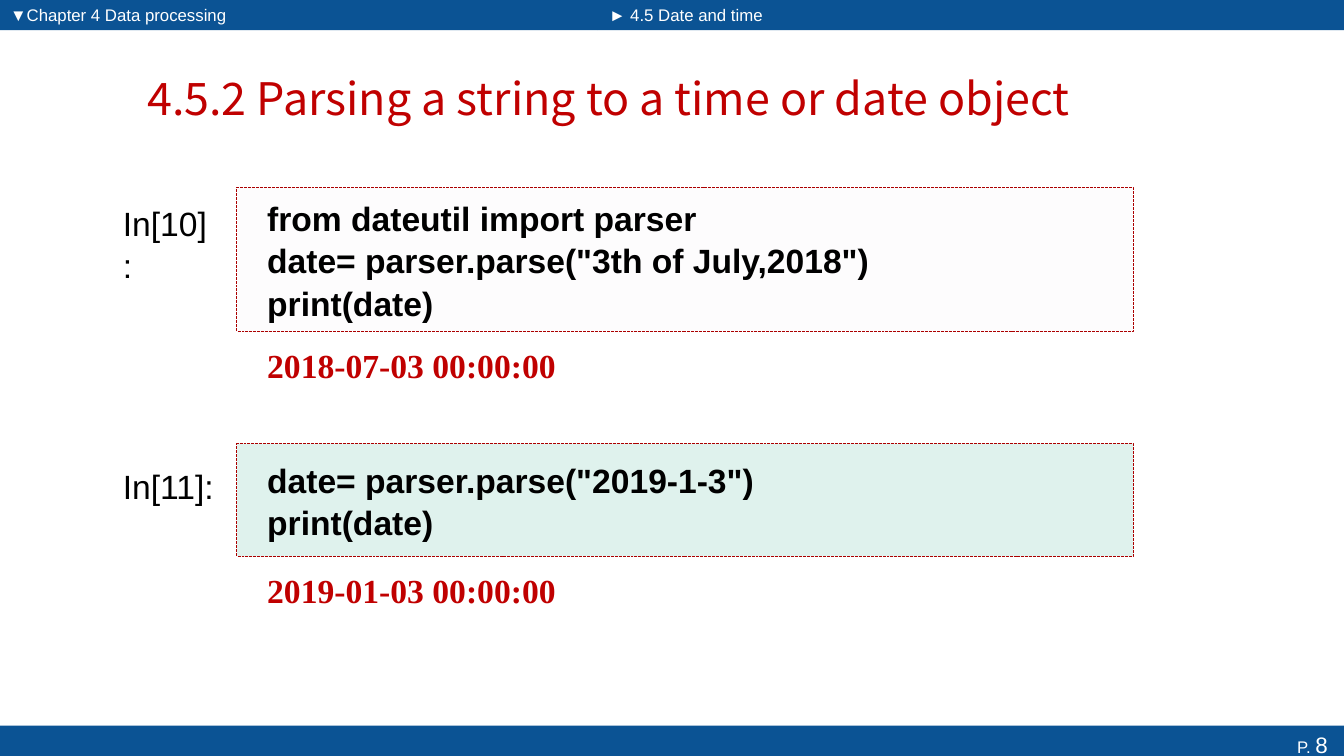
from lxml import etree
from pptx import Presentation
from pptx import util as u
from pptx.dml.color import RGBColor
from pptx.enum import dml, shapes, text
from pptx.oxml.ns import qn

COLORS = {"bar": "0B5394", "white": "FFFFFF", "black": "000000", "red": "C00000",
          "border": "AB0000", "pale": "F1EEF4", "teal": "0C9B74"}
TITLE = "4.5.2 Parsing a string to a time or date object"
HEADERS = [("▼Chapter 4 Data processing", 0, 4.83),
           ("► 4.5 Date and time", 5.94, 2.38)]
BARS = [(0, 0, 5.93, 0.3), (5.93, 0, 7.4, 0.3), (0, 7.2, 13.33, 0.37)]
PAGE_NUMBER = [("P. ", 12), ("8 ", 16)]
CELLS = [
    {"label": "In[10]:", "label_top": 1.94, "top": 1.86, "height": 1.43, "fill": "pale",
     "code": ["from dateutil import parser",
              'date= parser.parse("3th of July,2018")',
              "print(date)"],
     "output": "2018-07-03 00:00:00", "output_top": 3.29, "output_height": 0.65},
    {"label": "In[11]:", "label_top": 4.55, "top": 4.4, "height": 1.12, "fill": "teal",
     "code": ['date= parser.parse("2019-1-3")',
              "print(date)"],
     "output": "2019-01-03 00:00:00", "output_top": 5.42, "output_height": 0.85},
]
LABEL_LEFT, LABEL_WIDTH, LABEL_HEIGHT = 1.12, 1.12, 0.5
CODE_LEFT, CODE_WIDTH, OUTPUT_WIDTH = 2.35, 8.89, 8.74
CODE_SIZE, CODE_SPACING, CODE_INDENT = 24, 1.05, 0.3


def rgb(name):
    return RGBColor.from_string(COLORS[name])


def add_run(paragraph, words, size, color, font="Arial", bold=False):
    run = paragraph.add_run()
    run.text = words
    run.font.size = u.Pt(size)
    run.font.name = font
    run.font.bold = bold
    run.font.color.rgb = rgb(color)
    properties = run._r.get_or_add_rPr()
    etree.SubElement(properties, qn("a:ea")).set("typeface", font)


def add_rectangle(slide, box, fill):
    shape = slide.shapes.add_shape(shapes.MSO_SHAPE.RECTANGLE, *map(u.Inches, box))
    shape.shadow.inherit = False
    shape.fill.solid()
    shape.fill.fore_color.rgb = rgb(fill)
    shape.line.fill.background()
    return shape


def write_lines(shape, lines, color="black", font="Arial", bold=True, indent=CODE_INDENT,
                anchor=text.MSO_ANCHOR.MIDDLE):
    frame = shape.text_frame
    frame.word_wrap = True
    frame.vertical_anchor = anchor
    frame.margin_left = u.Inches(indent)
    for index, line in enumerate(lines):
        paragraph = frame.add_paragraph() if index else frame.paragraphs[0]
        paragraph.alignment = text.PP_ALIGN.LEFT
        paragraph.line_spacing = CODE_SPACING
        add_run(paragraph, line, CODE_SIZE, color, font, bold)


def add_cell(slide, cell):
    label = slide.shapes.add_textbox(*map(u.Inches, (
        LABEL_LEFT, cell["label_top"], LABEL_WIDTH, LABEL_HEIGHT)))
    write_lines(label, [cell["label"]], bold=False, indent=0.1, anchor=text.MSO_ANCHOR.TOP)

    code = add_rectangle(slide, (CODE_LEFT, cell["top"], CODE_WIDTH, cell["height"]),
                         cell["fill"])
    color = code._element.spPr.find(qn("a:solidFill"))[0]
    etree.SubElement(color, qn("a:alpha")).set("val", "13000")
    code.line.color.rgb = rgb("border")
    code.line.width = u.Pt(0.7)
    code.line.dash_style = dml.MSO_LINE.SQUARE_DOT
    write_lines(code, cell["code"])

    output = slide.shapes.add_textbox(*map(u.Inches, (
        CODE_LEFT, cell["output_top"], OUTPUT_WIDTH, cell["output_height"])))
    write_lines(output, [cell["output"]], "red", "Times New Roman")


def place(slide, placeholder, box):
    placeholder.left, placeholder.top, placeholder.width, placeholder.height = map(u.Inches, box)
    placeholder.text_frame.auto_size = text.MSO_AUTO_SIZE.NONE
    slide.shapes._spTree.append(placeholder._element)
    return placeholder.text_frame.paragraphs[0]


def add_header(slide, placeholder, words, left, width):
    paragraph = place(slide, placeholder, (left, 0, width, 0.29))
    properties = paragraph._p.get_or_add_pPr()
    properties.set("marL", str(u.Inches(0.38)))
    properties.set("indent", str(u.Inches(-0.38)))
    etree.SubElement(properties, qn("a:buNone"))
    paragraph.space_before = u.Pt(0)
    add_run(paragraph, words, 12, "white")


def main():
    presentation = Presentation()
    presentation.slide_width = u.Inches(13.33)
    presentation.slide_height = u.Inches(7.5)
    slide = presentation.slides.add_slide(presentation.slide_layouts[3])

    title, *headers = list(slide.placeholders)
    bars = [add_rectangle(slide, box, "bar") for box in BARS]
    footer = bars[-1].text_frame
    footer.vertical_anchor = text.MSO_ANCHOR.TOP
    footer.paragraphs[0].alignment = text.PP_ALIGN.RIGHT
    for words, size in PAGE_NUMBER:
        add_run(footer.paragraphs[0], words, size, "white")

    for cell in CELLS:
        add_cell(slide, cell)

    heading = place(slide, title, (0.68, 0.52, 10.72, 0.9))
    title.text_frame.vertical_anchor = text.MSO_ANCHOR.MIDDLE
    heading.alignment = text.PP_ALIGN.CENTER
    add_run(heading, TITLE, 32, "red", "Noto Sans CJK SC")
    for placeholder, header in zip(headers, HEADERS):
        add_header(slide, placeholder, *header)

    presentation.save("out.pptx")


if __name__ == "__main__":
    main()
